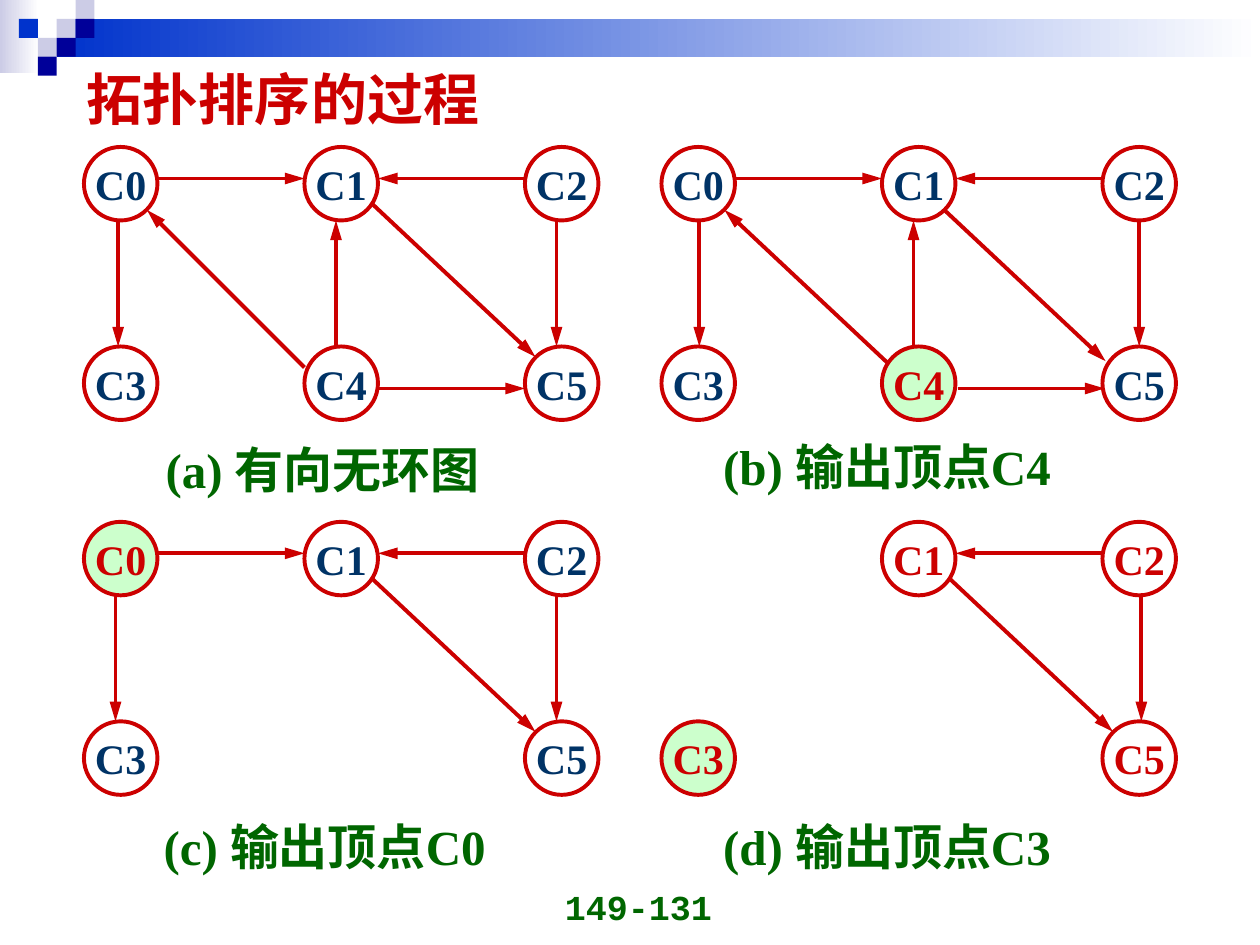
from pptx import Presentation, util as u
from pptx.dml import color
from pptx.enum import shapes, text
from pptx.oxml import ns
from lxml import etree

deck = Presentation()
deck.slide_width, deck.slide_height = u.Inches(10), u.Inches(7.5)
slide = deck.slides.add_slide(deck.slide_layouts[6])
tree = slide.shapes
unit = deck.slide_width / 120
kind = shapes.MSO_SHAPE
mid = text.MSO_ANCHOR.MIDDLE
left, center = text.PP_ALIGN.LEFT, text.PP_ALIGN.CENTER
red, navy, green, white, mint = "CC0000", "003366", "006600", "FFFFFF", "CCFFCC"
pale, blue, dark = "CCCCE6", "0033CC", "000099"


def hue(code):
    return color.RGBColor.from_string(code)


def write(shape, words, size, tint, align=left, face="Times New Roman", **frame):
    for key, val in frame.items():
        setattr(shape.text_frame, key, val)
    para = shape.text_frame.paragraphs[0]
    para.alignment = align
    run = para.add_run()
    run.text = words
    look = {"name": face, "size": u.Pt(size), "bold": True}
    for key, val in look.items():
        setattr(run.font, key, val)
    run.font.color.rgb = hue(tint)


for x, y, w, h, tint in [(0, 0, 3.7, 7, pale), (5.4, 1.8, 114.6, 3.6, blue)]:
    band = tree.add_shape(kind.RECTANGLE, *[int(v * unit) for v in (x, y, w, h)])
    band.shadow.inherit = False
    band.line.fill.background()
    band.fill.gradient()
    band.fill.gradient_angle = 0
    for stop, code in zip(band.fill.gradient_stops, (tint, white)):
        stop.color.rgb = hue(code)

step = 1.8
tiles = [(3, 1, pale), (4, 0, pale), (4, 1, dark), (2, 2, pale),
         (1, 1, blue), (3, 2, dark), (2, 3, dark)]
for col, row, tint in tiles:
    tile = tree.add_shape(kind.RECTANGLE, *[int(v * unit) for v in (col * step, row * step, step, step)])
    tile.shadow.inherit = False
    tile.line.fill.background()
    tile.fill.solid()
    tile.fill.fore_color.rgb = hue(tint)

spots = {"C0": (0, 0), "C1": (21, 0), "C2": (42, 0),
         "C3": (0, 19), "C4": (21, 19), "C5": (42, 19)}
edges = {"01": (7, 3, 21, 3), "21": (42, 3, 28, 3), "03": (3.25, 7, 3.25, 19),
         "41": (24, 19, 24, 7), "40": (21, 21, 6, 6), "45": (28, 23, 42, 23),
         "25": (45, 7, 45, 19), "15": (27, 5, 43, 20)}
panels = [
    (8, 14, "C0 C1 C2 C3 C4 C5", "", navy, {}),
    (63, 14, "C0 C1 C2 C3 C4 C5", "C4", navy,
     {"03": (3.6, 7, 3.6, 19), "40": (22, 21, 6, 6), "45": (28.2, 23, 42.2, 23),
      "25": (45.5, 7, 45.5, 19), "15": (26.3, 5.4, 42.3, 20.4)}),
    (8, 49.7, "C0 C1 C2 C3 C5", "C0", navy, {"03": (3, 7, 3, 19)}),
    (63, 49.7, "C1 C2 C3 C5", "C3", red,
     {"25": (45.7, 7, 45.7, 19)}),
]
for x, y, names, lit, ink, moved in panels:
    for pair, ends in (edges | moved).items():
        if not all("C" + end in names for end in pair) or (lit == "C3" and "3" in pair):
            continue
        x1, y1, x2, y2 = ends
        edge = tree.add_connector(shapes.MSO_CONNECTOR.STRAIGHT, *[
            int(v * unit) for v in (x + x1, y + y1, x + x2, y + y2)])
        edge.line.width = u.Pt(2.25)
        edge.line.color.rgb = hue(red)
        tip = etree.SubElement(edge.line._get_or_add_ln(), ns.qn("a:tailEnd"))
        for key, val in {"type": "triangle", "w": "med", "len": "lg"}.items():
            tip.set(key, val)
        etree.SubElement(edge._element.spPr, ns.qn("a:effectLst"))
    for name in names.split():
        dx, dy = spots[name]
        node = tree.add_shape(kind.OVAL, *[int(v * unit) for v in (x + dx, y + dy, 7, 7)])
        node.shadow.inherit = False
        node.fill.solid()
        node.fill.fore_color.rgb = hue(mint if name == lit else white)
        node.line.color.rgb = hue(red)
        node.line.width = u.Pt(2.25)
        write(node, name, 24, red if name == lit else ink, center,
              word_wrap=False, vertical_anchor=mid)

labels = [
    ("拓扑排序的过程", 7.1, 4.8, 50, 9, 32, red, {"word_wrap": True, "vertical_anchor": mid}),
    ("(a) 有向无环图", 14.6, 41.3, 33.4, 6.8, 28, green, {"word_wrap": False}),
    ("(b) 输出顶点C4", 67.7, 41, 35.8, 6.8, 28, green, {"word_wrap": False}),
    ("(c) 输出顶点C0", 14.4, 77.2, 35.3, 6.8, 28, green, {"word_wrap": False}),
    ("(d) 输出顶点C3", 67.7, 77.2, 35.8, 6.8, 28, green, {"word_wrap": False}),
    ("149-131", 46.8, 82.9, 28, 6, 20, green,
     {"word_wrap": True, "vertical_anchor": text.MSO_ANCHOR.BOTTOM,
      "align": center, "face": "Courier New"}),
]
for words, x, y, w, h, size, tint, frame in labels:
    label = tree.add_textbox(*[int(v * unit) for v in (x, y, w, h)])
    write(label, words, size, tint, **frame)

deck.save("out.pptx")
